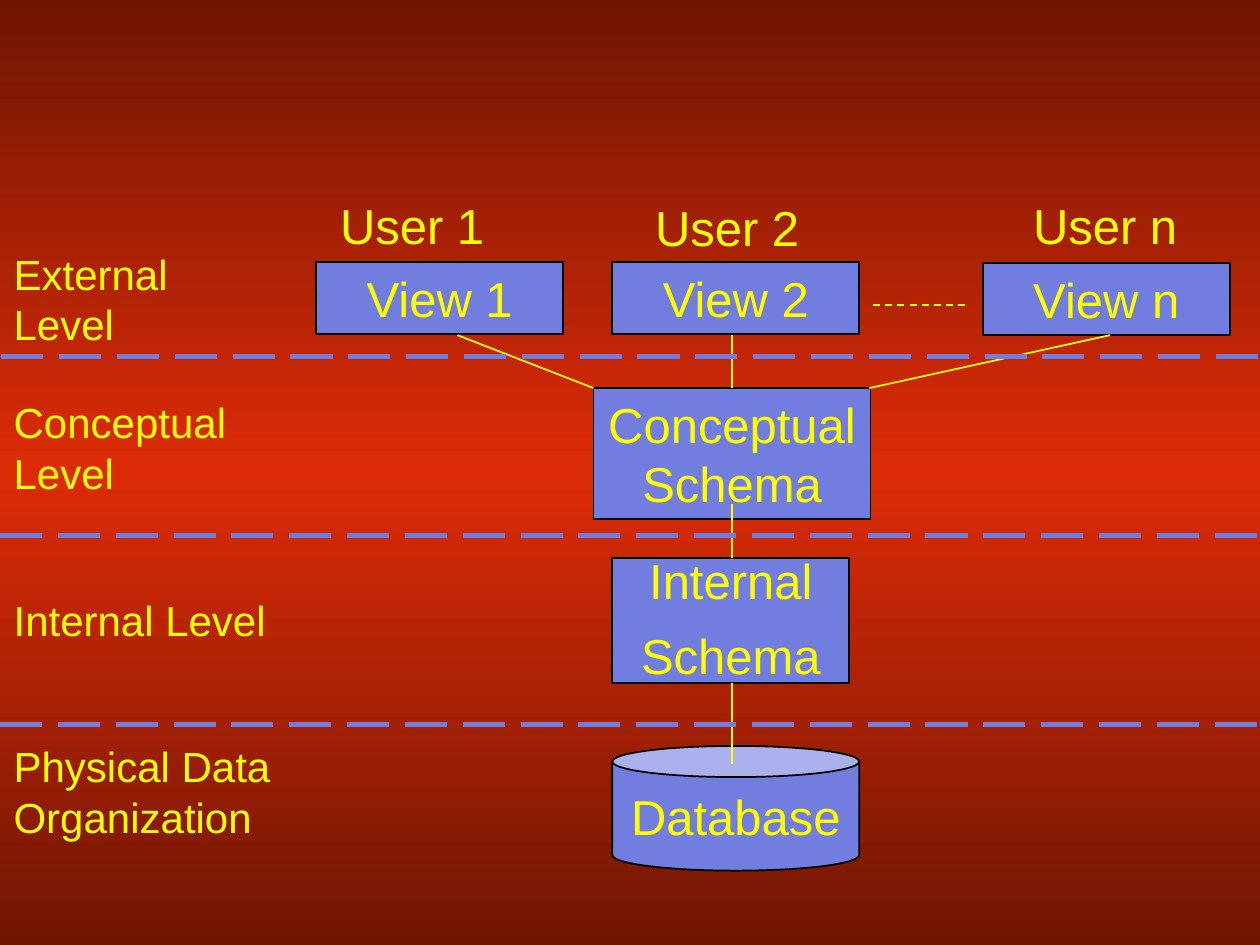
from copy import deepcopy

from pptx import Presentation
from pptx.dml.color import RGBColor
from pptx.enum.dml import MSO_LINE
from pptx.enum.shapes import MSO_CONNECTOR, MSO_SHAPE
from pptx.enum.text import MSO_ANCHOR, PP_ALIGN
from pptx.oxml.ns import qn
from pptx.util import Inches, Pt
from lxml import etree

YELLOW = RGBColor(0xFF, 0xFF, 0x00)
BLUE = RGBColor(0x72, 0x7D, 0xE0)
BLACK = RGBColor(0x00, 0x00, 0x00)
DARK_RED = RGBColor(0x6F, 0x16, 0x03)
BRIGHT_RED = RGBColor(0xDD, 0x2B, 0x07)

RECT, CAN = MSO_SHAPE.RECTANGLE, MSO_SHAPE.CAN
STRAIGHT = MSO_CONNECTOR.STRAIGHT
DASH, LONG_DASH = MSO_LINE.DASH, MSO_LINE.LONG_DASH
TOP, MIDDLE = MSO_ANCHOR.TOP, MSO_ANCHOR.MIDDLE
LEFT, CENTER = PP_ALIGN.LEFT, PP_ALIGN.CENTER

SLIDE_WIDTH = 10
AXIS = 5.81  # centre line of the schema column


def paint_background(slide):
    fill = slide.background.fill
    fill.gradient()
    fill.gradient_angle = 90
    stop_list = slide.element.find(".//" + qn("a:gsLst"))
    stop_list.append(deepcopy(stop_list[-1]))
    colors = (DARK_RED, BRIGHT_RED, DARK_RED)
    for stop, position, color in zip(fill.gradient_stops, (0, 0.5, 1), colors):
        stop.position = position
        stop.color.rgb = color


def write(shape, text, size, align=LEFT, anchor=TOP, wrap=True):
    frame = shape.text_frame
    frame.text = text
    frame.word_wrap = wrap
    frame.vertical_anchor = anchor
    for paragraph in frame.paragraphs:
        paragraph.alignment = align
        paragraph.font.name = "Arial"
        paragraph.font.size = Pt(size)
        paragraph.font.color.rgb = YELLOW


def add_label(slide, text, box, size):
    label = slide.shapes.add_textbox(*map(Inches, box))
    write(label, text, size)


def add_block(slide, text, box, kind=RECT, anchor=TOP, wrap=True):
    block = slide.shapes.add_shape(kind, *map(Inches, box))
    block.shadow.inherit = False
    block.fill.solid()
    block.fill.fore_color.rgb = BLUE
    block.line.color.rgb = BLACK
    block.line.width = Pt(1)
    write(block, text, 28, CENTER, anchor, wrap)
    return block


def add_line(slide, start, end, color=YELLOW, width=1, dash=None):
    line = slide.shapes.add_connector(STRAIGHT, *map(Inches, start + end))
    line.line.color.rgb = color
    line.line.width = Pt(width)
    if dash:
        line.line.dash_style = dash
    etree.SubElement(line.element.spPr, qn("a:effectLst"))


def add_level_names(slide, left):
    levels = (
        ("External Level", 1.92, 2.25, 0.9),
        ("Conceptual Level", 3.1, 2.25, 0.9),
        ("Internal Level", 4.67, 2.25, 0.5),
        ("Physical Data Organization", 5.83, 3, 0.9),
    )
    for name, top, width, height in levels:
        add_label(slide, name, (left, top, width, height), 24)


def add_views(slide):
    views = (("1", 2.51, 2.08), ("2", 4.86, 2.08), ("n", 7.8, 2.09))
    for number, left, top in views:
        add_block(slide, f"View {number}", (left, top, 1.96, 0.57))


def add_schemas(slide):
    add_block(slide, "Conceptual Schema", (4.71, 3.08, 2.2, 1.04))
    internal = add_block(slide, "Internal\nSchema", (4.86, 4.43, 1.88, 0.99))
    for paragraph in internal.text_frame.paragraphs:
        paragraph.line_spacing = 0.75
    internal.text_frame.paragraphs[1].space_before = Pt(17.5)
    add_block(slide, "Database", (4.86, 5.92, 1.96, 0.99), CAN, MIDDLE, False)


def add_links(slide):
    # Views to the conceptual schema
    for schema_x, view_x in ((6.9, 8.81), (AXIS, AXIS), (4.71, 3.63)):
        add_line(slide, (schema_x, 3.08), (view_x, 2.66))
    # Down to the database
    for top, bottom in ((4, 4.43), (5.42, 6.06)):
        add_line(slide, (AXIS, top), (AXIS, bottom))
    # Further views
    add_line(slide, (6.93, 2.42), (7.68, 2.42), dash=DASH)


def add_users(slide):
    for number, left, top in (("1", 2.6, 1.5), ("2", 5.1, 1.52), ("n", 8.1, 1.5)):
        add_label(slide, f"User {number}", (left, top, 1.42, 0.57), 28)


def add_level_borders(slide):
    for left, y in ((0.01, 2.83), (0, 4.25), (0, 5.75)):
        add_line(slide, (left, y), (SLIDE_WIDTH, y), BLUE, 3, LONG_DASH)


def main():
    deck = Presentation()
    deck.slide_width, deck.slide_height = Inches(SLIDE_WIDTH), Inches(7.5)
    slide = deck.slides.add_slide(deck.slide_layouts[6])
    paint_background(slide)
    add_level_names(slide, 0.01)
    add_views(slide)
    add_schemas(slide)
    add_links(slide)
    add_users(slide)
    add_level_borders(slide)
    deck.save("out.pptx")


if __name__ == "__main__":
    main()
